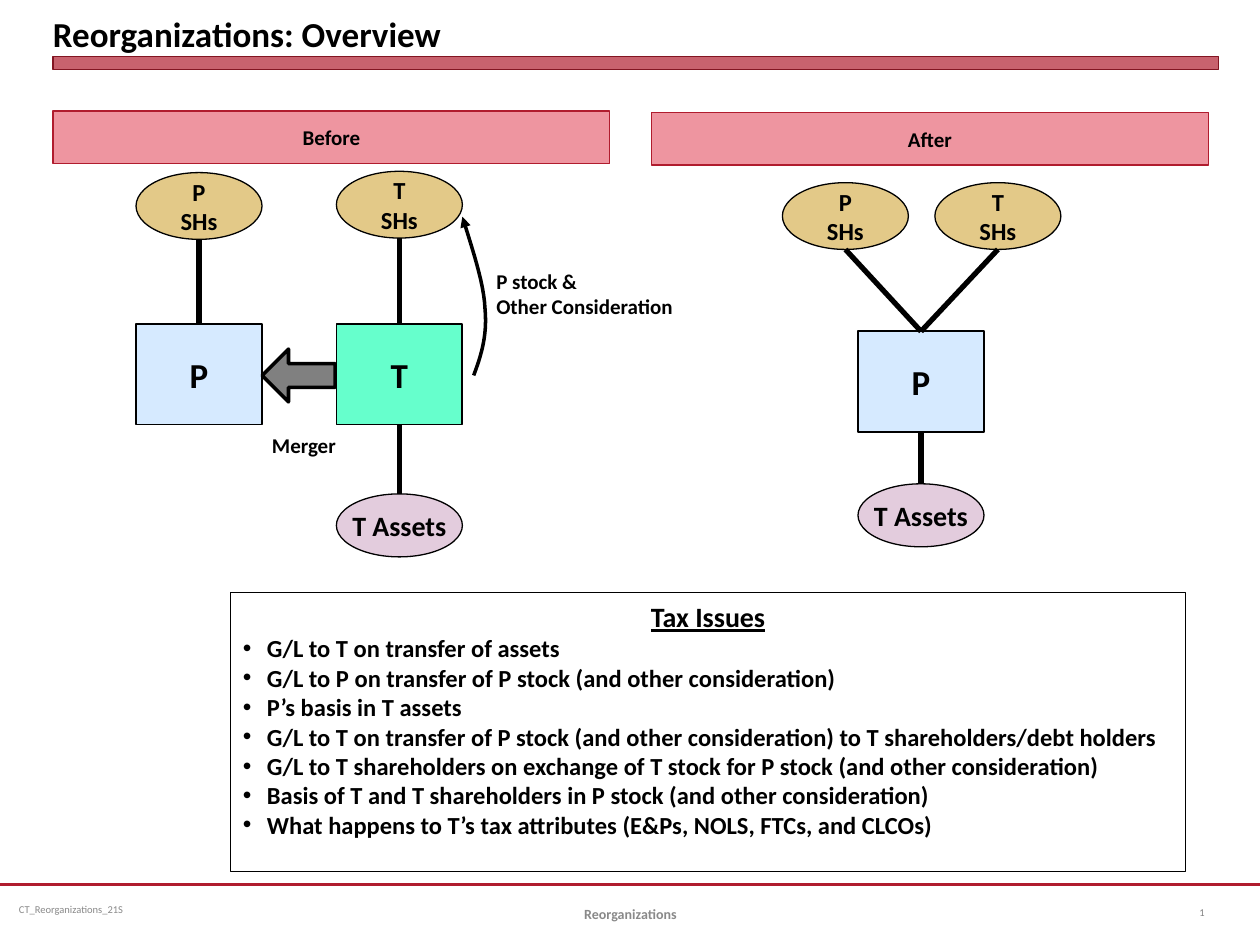
"""Build the reorganizations overview slide."""
import pptx
import pptx.util
import pptx.dml.color
import pptx.enum.shapes
import pptx.enum.text
import pptx.oxml
import pptx.oxml.ns

Inches = pptx.util.Inches
Pt = pptx.util.Pt
Kind = pptx.enum.shapes.MSO_SHAPE
Align = pptx.enum.text.PP_ALIGN
Anchor = pptx.enum.text.MSO_ANCHOR
qn = pptx.oxml.ns.qn
NS = pptx.oxml.ns.nsdecls("a")

HUES = {
    "black": "000000", "red": "B01C2E", "dark": "821522", "rose": "EE95A0",
    "tan": "E3C988", "mauve": "E3CCDD", "blue": "D6EAFF", "green": "66FFCC",
    "gray": "808080", "pale": "898989",
}
STYLES = {
    "owner": (Kind.OVAL, 1, 0.53, "tan", 0.75, 14),
    "firm": (Kind.RECTANGLE, 1, 0.8, "blue", 1, 20),
    "target": (Kind.RECTANGLE, 1, 0.8, "green", 1, 20),
    "asset": (Kind.OVAL, 1, 0.5, "mauve", 0.75, 16),
    "head": (Kind.RECTANGLE, 4.42, 0.42, "rose", 0.75, 12),
}
NODES = {
    "before": ("head", 0.42, 0.88, ["Before"]),
    "after": ("head", 5.17, 0.89, ["After"]),
    "p_old": ("firm", 1.08, 2.57, ["P"]),
    "t_old": ("target", 2.67, 2.57, ["T"]),
    "p_new": ("firm", 6.81, 2.63, ["P"]),
    "p_own": ("owner", 1.08, 1.37, ["P", "SHs"]),
    "t_own": ("owner", 2.67, 1.36, ["T", "SHs"]),
    "p_own2": ("owner", 6.21, 1.45, ["P", "SHs"]),
    "t_own2": ("owner", 7.42, 1.45, ["T", "SHs"]),
    "t_goods": ("asset", 2.67, 3.92, ["T Assets"]),
    "p_goods": ("asset", 6.81, 3.84, ["T Assets"]),
}
LINKS = [
    ("p_own", "p_old"), ("t_own", "t_old"), ("t_old", "t_goods"),
    ("p_own2", "p_new"), ("t_own2", "p_new"), ("p_new", "p_goods"),
]
TITLE = "Reorganizations: Overview"
ISSUES = [
    "G/L to T on transfer of assets",
    "G/L to P on transfer of P stock (and other consideration)",
    "P’s basis in T assets",
    "G/L to T on transfer of P stock (and other consideration) to T shareholders/debt holders",
    "G/L to T shareholders on exchange of T stock for P stock (and other consideration)",
    "Basis of T and T shareholders in P stock (and other consideration)",
    "What happens to T’s tax attributes (E&Ps, NOLS, FTCs, and CLCOs)",
]
LABELS = [
    ((0.42, 0, 9.25, 0.43), [TITLE],
     dict(size=20, anchor=Anchor.BOTTOM, inset=(0, 0, 0, 0))),
    ((2.06, 3.38, 0.71, 0.3), ["Merger"], dict(anchor=Anchor.TOP, wrap=False)),
    ((3.84, 2.08, 1.62, 0.5), ["P stock &", "Other Consideration"],
     dict(anchor=Anchor.TOP, wrap=False)),
    ((0.08, 7.02, 2.58, 0.4), ["CT_Reorganizations_21S"],
     dict(size=6, hue="pale", bold=False, inset=(0.07, 0.04, 0.07, 0.04))),
    ((3.42, 7.05, 3.17, 0.4), ["Reorganizations"],
     dict(size=8, hue="pale", align=Align.CENTER)),
    ((9.42, 7.04, 0.5, 0.4), ["1"], dict(size=6, hue="gray", bold=False)),
]
CURVES = [
    [(3.76, 2.98), (3.82, 2.82), (3.87, 2.66), (3.85, 2.45)],
    [(3.85, 2.45), (3.84, 2.24), (3.75, 1.98), (3.67, 1.72)],
]
STEPS = 12


def rgb(name):
    return pptx.dml.color.RGBColor.from_string(HUES[name])


def write(shape, lines, size=12, hue="black", bold=True, align=Align.LEFT,
          anchor=Anchor.MIDDLE, wrap=True, inset=(0.1, 0.05, 0.1, 0.05),
          under=False, mark=None, more=False):
    frame = shape.text_frame
    frame.word_wrap = wrap
    frame.vertical_anchor = anchor
    (frame.margin_left, frame.margin_top,
     frame.margin_right, frame.margin_bottom) = map(Inches, inset)
    for i, line in enumerate(lines):
        para = frame.add_paragraph() if i or more else frame.paragraphs[0]
        para.alignment = align
        if mark:
            props = para._p.get_or_add_pPr()
            props.set("marL", str(Inches(0.19)))
            props.set("indent", str(-Inches(0.19)))
            props.append(pptx.oxml.parse_xml(f'<a:buFont {NS} typeface="Arial"/>'))
            props.append(pptx.oxml.parse_xml(f'<a:buChar {NS} char="{mark}"/>'))
        run = para.add_run()
        run.text = line
        font = run.font
        font.name, font.size, font.bold = "Calibri", Pt(size), bold
        font.underline = under
        font.color.rgb = rgb(hue)


def draw(shapes, kind, box, fill, line, width):
    shape = shapes.add_shape(kind, *map(Inches, box))
    shape.shadow.inherit = False
    if fill:
        shape.fill.solid()
        shape.fill.fore_color.rgb = rgb(fill)
    else:
        shape.fill.background()
    shape.line.color.rgb = rgb(line)
    shape.line.width = Pt(width)
    return shape


def join(shapes, start, end, hue="black", width=3):
    line = shapes.add_connector(
        pptx.enum.shapes.MSO_CONNECTOR.STRAIGHT, *map(Inches, start + end))
    line.line.color.rgb = rgb(hue)
    line.line.width = Pt(width)
    line._element.spPr.append(pptx.oxml.parse_xml(f"<a:effectLst {NS}/>"))
    return line


def link(shapes, made, top, low):
    style, x, y, _ = NODES[top]
    wide, high = STYLES[style][1:3]
    low_style, low_x, low_y, _ = NODES[low]
    line = join(shapes, (x + wide / 2, y + high),
                (low_x + STYLES[low_style][1] / 2, low_y))
    if STYLES[style][0] == Kind.RECTANGLE:
        line.begin_connect(made[top], 2)
    if STYLES[low_style][0] == Kind.RECTANGLE:
        line.end_connect(made[low], 0)


def point(curve, t):
    parts = ((1 - t) ** 3, 3 * t * (1 - t) ** 2, 3 * t * t * (1 - t), t ** 3)
    return tuple(Inches(sum(w * p[axis] for w, p in zip(parts, curve)))
                 for axis in (0, 1))


def sweep(shapes):
    dots = [point(curve, i / STEPS) for curve in CURVES for i in range(1, STEPS + 1)]
    path = shapes.build_freeform(*point(CURVES[0], 0))
    path.add_line_segments(dots, close=False)
    shape = path.convert_to_shape()
    shape.shadow.inherit = False
    shape.fill.background()
    shape.line.color.rgb = rgb("black")
    shape.line.width = Pt(2)
    shape.line._get_or_add_ln().append(
        pptx.oxml.parse_xml(f'<a:tailEnd {NS} type="triangle"/>'))


def main():
    deck = pptx.Presentation()
    deck.slide_width, deck.slide_height = Inches(10), Inches(7.5)
    shapes = deck.slides.add_slide(deck.slide_layouts[6]).shapes

    join(shapes, (0, 7.02), (10, 7.02), "red", 1.25)
    bar = draw(shapes, Kind.RECTANGLE, (0.42, 0.45, 9.25, 0.1), "red", "dark", 0)
    tint = bar._element.spPr.find(qn("a:solidFill")).find(qn("a:srgbClr"))
    tint.append(pptx.oxml.parse_xml(f'<a:alpha {NS} val="69000"/>'))

    panel = draw(shapes, Kind.RECTANGLE, (1.83, 4.7, 7.58, 2.22), None, "black", 0.5)
    room = (0.1, 0.05, 0.1, 0.25)
    write(panel, ["Tax Issues"], size=16, align=Align.CENTER, under=True, inset=room)
    write(panel, ISSUES, size=14, mark="•", more=True, inset=room)

    made = {}
    for name, (style, x, y, lines) in NODES.items():
        kind, wide, high, fill, width, size = STYLES[style]
        edge = "red" if style == "head" else "black"
        made[name] = draw(shapes, kind, (x, y, wide, high), fill, edge, width)
        write(made[name], lines, size=size, align=Align.CENTER, wrap=style == "head")
    for top, low in LINKS:
        link(shapes, made, top, low)

    arrow = draw(shapes, Kind.LEFT_ARROW, (2.08, 2.77, 0.58, 0.42), "gray", "black", 2)
    arrow.adjustments[0] = 0.45
    sweep(shapes)
    for box, lines, form in LABELS:
        write(shapes.add_textbox(*map(Inches, box)), lines, **form)
    deck.save("out.pptx")


if __name__ == "__main__":
    main()
